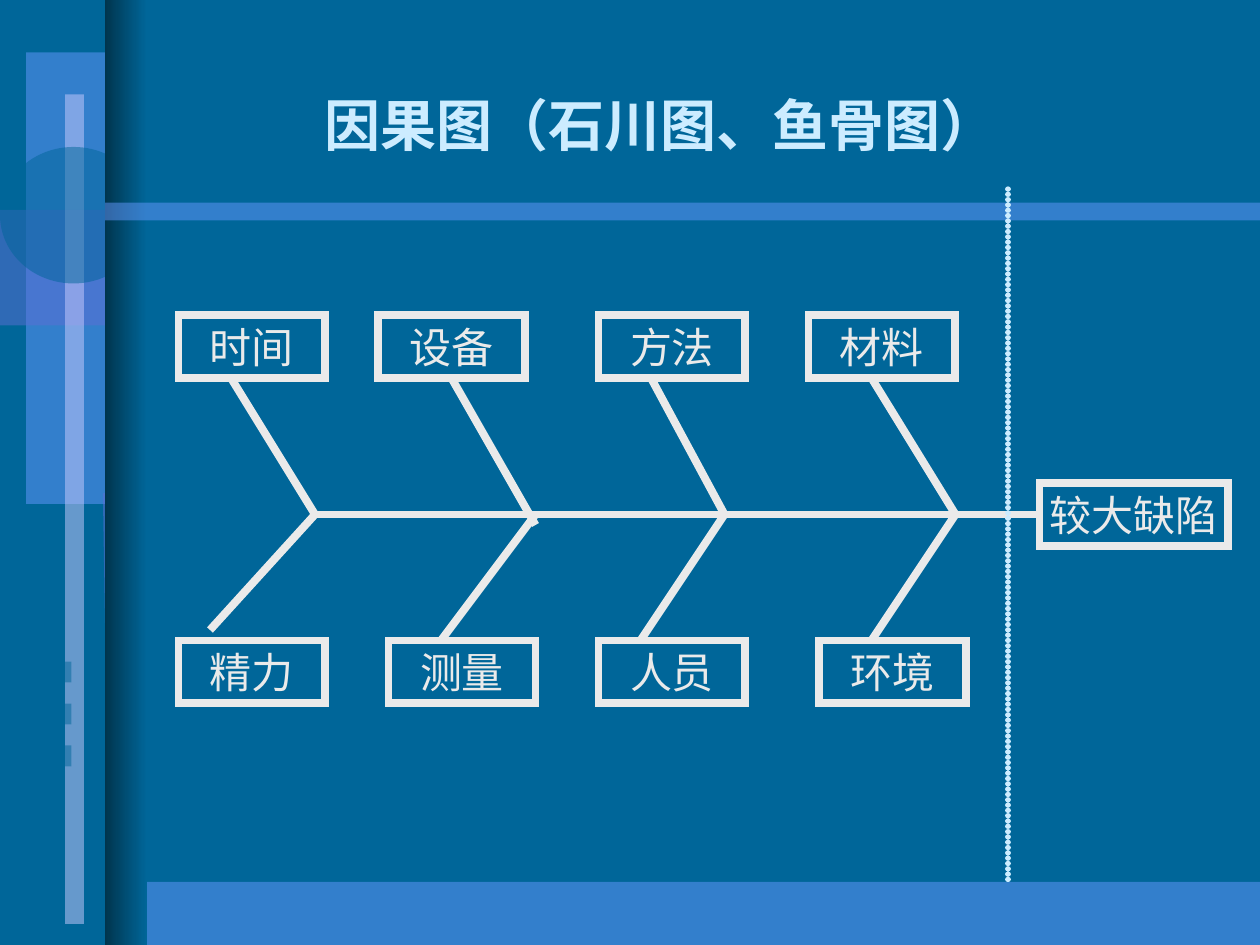
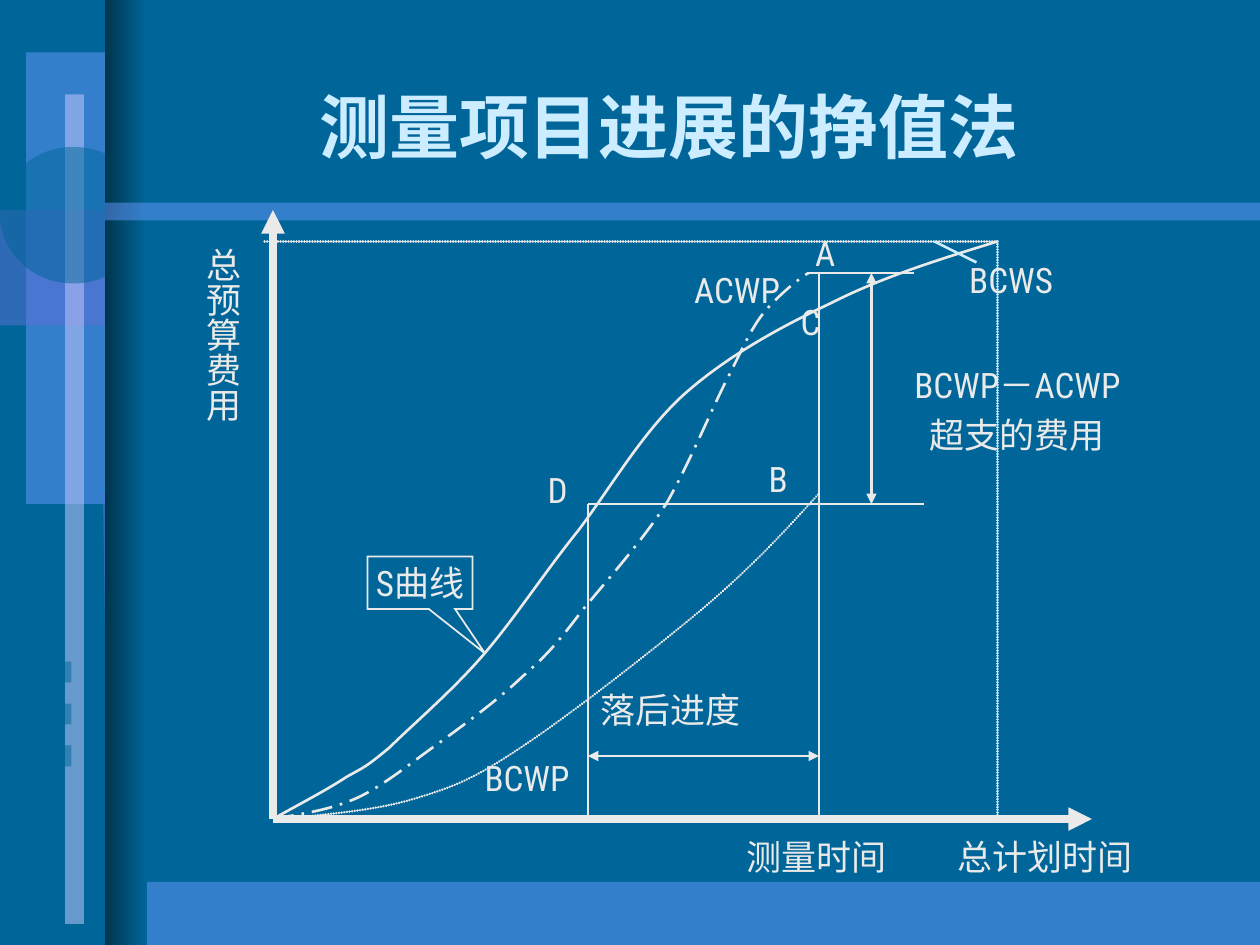
from lxml import etree
from pptx import Presentation
from pptx.dml.color import RGBColor
from pptx.enum.dml import MSO_LINE
from pptx.enum.shapes import MSO_CONNECTOR, MSO_SHAPE as SHAPE
from pptx.enum.text import MSO_ANCHOR, PP_ALIGN
from pptx.oxml.ns import qn
from pptx.util import Inches, Pt

# Every length is counted in columns and rows of a 120 by 90 grid.
COLUMNS, ROWS = 120, 90
SLIDE_WIDTH, SLIDE_HEIGHT = Inches(10), Inches(7.5)
FONT = "Roboto Condensed"
COLORS = {
    "background": "006699", "band": "6699FF", "violet": "5E6FD4",
    "lilac": "CCCCFF", "shade": "00354E", "ink": "EAEAEA", "accent": "CCECFF",
}
# Each curve is a start point, then two handles and an end point per section.
CURVES = {
    "S": [(26, 78), (28.5, 76.6), (31.2, 75.2), (33, 74),
          (34.8, 73), (34.8, 73.1), (37.1, 71.2), (39.2, 69.1), (43.1, 65.8), (46.1, 62.3),
          (49.1, 58.8), (51.8, 54.6), (55.1, 50.5), (58.2, 46.4), (61.1, 41.3), (65, 37.7),
          (69, 34.1), (74, 31.3), (79.1, 28.9), (84, 26.4), (89.5, 24.7), (95, 23)],
    "ACWP": [(26, 78), (28.7, 77.5), (31.3, 77.2), (34, 76),
             (36.6, 74.8), (39.2, 72.6), (41.9, 70.7), (44.5, 68.8), (47.5, 66.6), (49.8, 64.4),
             (52.1, 62.4), (53.3, 61), (55.4, 58.2), (57.7, 55.4), (61.2, 51.5), (63.5, 47.9),
             (65.6, 44.2), (67.6, 39.4), (69.1, 36.4), (70.6, 33.5), (71.2, 31.9), (72.5, 30.1),
             (73.8, 28.4), (76.1, 26.5), (77, 26)],
    "BCWP": [(27, 78), (31.4, 77.5), (35.9, 77.2), (39.7, 76),
             (43.7, 74.8), (45.6, 73.9), (50.2, 70.8), (54.8, 67.7), (63, 61.3), (67.6, 57.4),
             (72.2, 53.4), (75.1, 50.2), (78, 47)],
    "lobe": [(9.8, 47), (10.8, 46.3), (11.8, 48.1), (12.4, 51.8),
             (12.8, 55.4), (13, 60.4), (12.5, 64.3), (12.1, 68.4), (11.3, 70.9), (10.3, 70.9)],
}


def color(name):
    return RGBColor.from_string(COLORS[name])


def grid(column, row):
    return round(SLIDE_WIDTH * column / COLUMNS), round(SLIDE_HEIGHT * row / ROWS)


def paint(shape, fill, alpha=None):
    """Fill a shape without outline or shadow, alpha in percent."""
    shape.shadow.inherit = False
    shape.line.fill.background()
    shape.fill.solid()
    shape.fill.fore_color.rgb = color(fill)
    if alpha:
        solid = shape.fill._xPr.find(qn("a:solidFill"))
        etree.SubElement(solid[0], qn("a:alpha"), val=str(alpha * 1000))


def set_line(line, name="ink", width=1.5, dash=None, arrows=()):
    """Dash is a preset or "dots"; arrows lists headEnd and tailEnd."""
    line.color.rgb = color(name)
    line.width = Pt(width)
    properties = line._get_or_add_ln()
    if dash == "dots":
        properties.set("cap", "rnd")
        custom = etree.SubElement(properties, qn("a:custDash"))
        etree.SubElement(custom, qn("a:ds"), d="1000", sp="100000")
    elif dash:
        line.dash_style = dash
    etree.SubElement(properties, qn("a:miter"), lim="800000")
    for end in arrows:
        etree.SubElement(properties, qn(f"a:{end}"), type="triangle")


def write(shape, lines, size, name="ink", bold=False, space=0):
    frame = shape.text_frame
    frame.word_wrap = False
    frame.vertical_anchor = MSO_ANCHOR.MIDDLE
    for index, text in enumerate(lines):
        paragraph = frame.paragraphs[0] if index == 0 else frame.add_paragraph()
        paragraph.text = text
        paragraph.alignment = PP_ALIGN.CENTER
        if index:
            paragraph.space_before = Pt(space)
        style = {"name": FONT, "size": Pt(size), "bold": bold}
        for attribute, value in style.items():
            setattr(paragraph.font, attribute, value)
        paragraph.font.color.rgb = color(name)


def add_block(slide, kind, place, fill, alpha=None):
    column, row, width, height = place
    shape = slide.shapes.add_shape(kind, *grid(column, row), *grid(width, height))
    paint(shape, fill, alpha)
    return shape


def add_box(slide, text, place, size=24, width=4.5, kind=SHAPE.RECTANGLE):
    box = add_block(slide, kind, place, "background")
    set_line(box.line, width=width)
    write(box, [text], size)
    return box


def add_label(slide, center, *lines, size=20, width=20, height=5.2, **style):
    column, row = center
    label = slide.shapes.add_textbox(*grid(column - width / 2, row - height / 2),
                                     *grid(width, height))
    write(label, lines, size, **style)
    return label


def add_title(slide, text, center, size):
    add_label(slide, center, text, size=size, width=80, height=8, name="accent", bold=True)


def add_line(slide, start, end, **style):
    connector = slide.shapes.add_connector(MSO_CONNECTOR.STRAIGHT, *grid(*start), *grid(*end))
    set_line(connector.line, **style)
    etree.SubElement(connector._element.spPr, qn("a:effectLst"))
    return connector


def add_curved_outline(slide, name, corners=()):
    """Draw cubic sections; corners then close the outline with straight sides."""
    points = [grid(*point) for point in CURVES[name]]
    builder = slide.shapes.build_freeform(*points[0])
    builder.add_line_segments(points[1:] + [grid(*corner) for corner in corners],
                              close=bool(corners))
    shape = builder.convert_to_shape()
    segments = list(shape._element.iter(qn("a:lnTo")))[:len(points) - 1]
    for first in range(0, len(segments), 3):
        section = segments[first:first + 3]
        curve = etree.Element(qn("a:cubicBezTo"))
        section[0].addprevious(curve)
        for segment in section:
            curve.append(segment[0])
            segment.getparent().remove(segment)
    return shape


def add_curve(slide, name, **style):
    curve = add_curved_outline(slide, name)
    curve.shadow.inherit = False
    curve.fill.background()
    set_line(curve.line, **style)


def add_decoration(slide):
    """Draw the bands and the ornament at the left, and hand them to the layout."""
    bar = SHAPE.RECTANGLE
    add_block(slide, bar, (10, 84, 110, 6), "band", 50)
    add_block(slide, bar, (2.5, 5, 7.5, 43), "band", 50)
    add_block(slide, bar, (0, 20, 10, 11), "violet", 50)
    add_block(slide, bar, (6.2, 9, 1.8, 79), "lilac", 50)
    for row in (63, 67, 71):
        add_block(slide, bar, (0, row, 6.8, 2), "background", 50)
    lobe = add_curved_outline(slide, "lobe", corners=[(10, 59.2)])
    paint(lobe, "violet", 50)
    add_block(slide, SHAPE.OVAL, (0, 14, 14, 13), "background", 50)
    spine = add_block(slide, bar, (10, 0, 4, 90), "background")
    spine.fill.gradient()
    spine.fill.gradient_angle = 180
    for stop, name in zip(spine.fill.gradient_stops, ("background", "shade")):
        stop.color.rgb = color(name)
    add_block(slide, bar, (10, 19.3, 110, 1.7), "band", 50)
    for shape in list(slide.shapes):
        slide.slide_layout.shapes.element.append(shape._element)


def build_fishbone(slide):
    top, bottom, axis = 30, 61, 49
    causes = {
        top: {"时间": 17, "设备": 36, "方法": 57, "材料": 77},
        bottom: {"精力": 17, "测量": 37, "人员": 57, "环境": 78},
    }
    for row, columns in causes.items():
        for text, column in columns.items():
            add_box(slide, text, (column, row, 14, 6))
    defect = add_box(slide, "较大缺陷", (99, 46, 18, 6))
    add_line(slide, (30, axis), (99, axis), width=4.5).end_connect(defect, 1)
    bones = [
        ((22, 36), (30, axis)), ((20, 60), (30, axis)),
        ((43, 36), (51, axis + 1)), ((42, bottom), (51, axis)),
        ((62, 36), (69, axis)), ((61, bottom), (69, axis)),
        ((83, 36), (91, axis)), ((83, bottom), (91, axis)),
    ]
    for start, end in bones:
        add_line(slide, start, end, width=4.5)
    add_line(slide, (96, 18), (96, 84), name="accent", width=3, dash="dots")
    add_title(slide, "因果图（石川图、鱼骨图）", (62.9, 11.8), 32)


def build_earned_value(slide):
    left, base, plan_end, budget = 26, 78, 95, 23
    delay, today, actual, earned = 56, 78, 26, 48
    for end in ((left, 20), (104, base)):
        add_line(slide, (left, base), end, width=4.5, arrows=["tailEnd"])
    add_curve(slide, "S")
    add_curve(slide, "ACWP", dash=MSO_LINE.LONG_DASH_DOT)
    add_line(slide, (today, actual), (today, base), width=1)
    add_curve(slide, "BCWP", dash="dots")
    add_line(slide, (71, earned), (delay, earned))
    add_line(slide, (delay, earned), (delay, base))
    add_line(slide, (77, actual), (87, actual))
    add_line(slide, (71, earned), (88, earned))
    add_line(slide, (plan_end, budget), (25, budget), dash="dots")
    add_line(slide, (plan_end, budget), (plan_end, base), name="accent", dash="dots")
    both = ["headEnd", "tailEnd"]
    add_line(slide, (83, actual), (83, earned), arrows=both)
    add_line(slide, (delay, 72), (today, 72), arrows=both)
    add_line(slide, (89, budget), (93, 25), name="accent")
    labels = {
        "总计划时间": (99.5, 81.6), "测量时间": (77.8, 81.6), "落后进度": (63.9, 67.6),
        "ACWP": (70.2, 27.6), "BCWS": (96.3, 26.6), "BCWP": (50.2, 74),
        "A": (78.6, 24), "B": (74.1, 45.6), "C": (77.2, 30.6), "D": (53.1, 46.6),
    }
    for text, center in labels.items():
        add_label(slide, center, text)
    add_label(slide, (96.9, 39), "BCWP－ACWP", "超支的费用", width=26, height=10, space=5)
    budget_label = add_label(slide, (21.2, 31.4), "总预算费用", width=6.4, height=18)
    budget_label.text_frame._txBody.bodyPr.set("vert", "eaVert")
    add_title(slide, "测量项目进展的挣值法", (63.7, 12), 40)
    callout = add_box(slide, "S曲线", (35, 53, 10, 5), size=20, width=1,
                      kind=SHAPE.RECTANGULAR_CALLOUT)
    callout.adjustments[0], callout.adjustments[1] = 0.62, 1.35


def main():
    presentation = Presentation()
    presentation.slide_width, presentation.slide_height = SLIDE_WIDTH, SLIDE_HEIGHT
    background = presentation.slide_master.background.fill
    background.solid()
    background.fore_color.rgb = color("background")
    blank = presentation.slide_layouts[6]
    fishbone, earned_value = (presentation.slides.add_slide(blank) for _ in range(2))
    add_decoration(fishbone)
    build_fishbone(fishbone)
    build_earned_value(earned_value)
    presentation.save("out.pptx")


if __name__ == "__main__":
    main()
